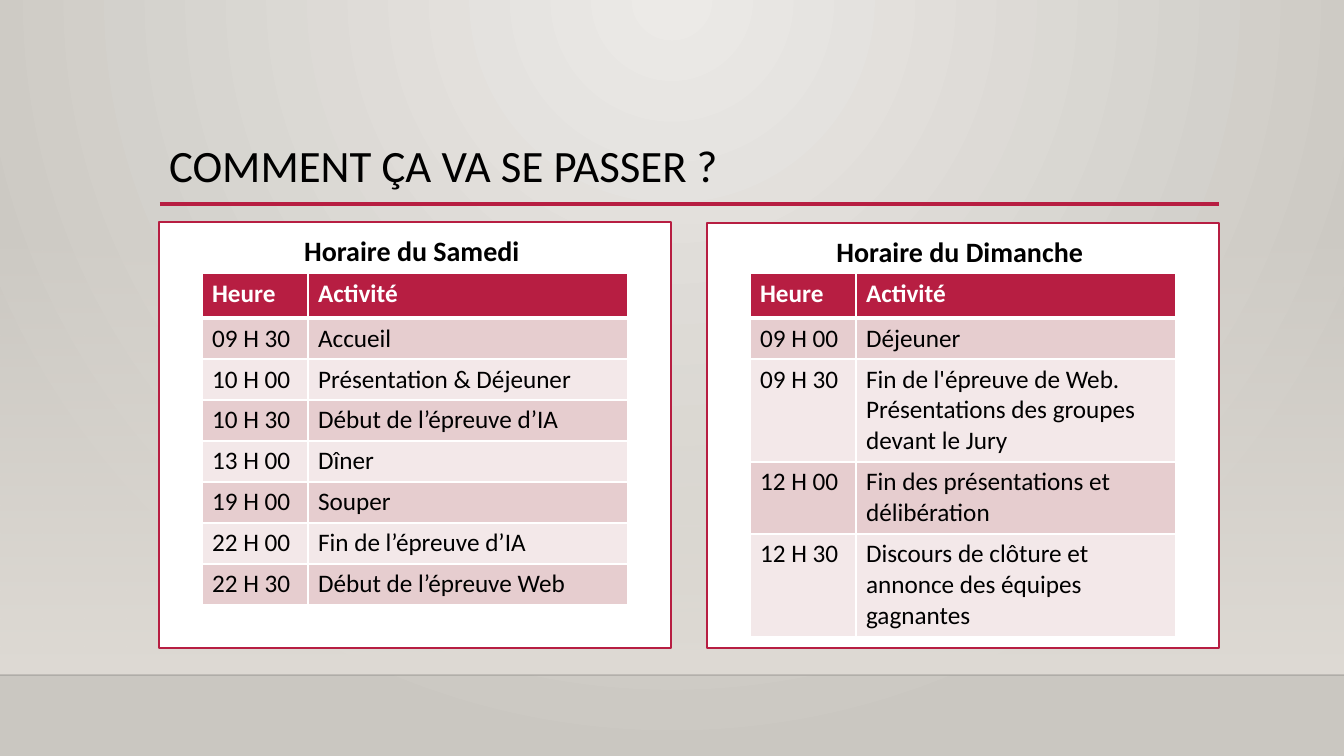
import dataclasses
import typing

import lxml.etree
import pptx
import pptx.dml.color
import pptx.enum.dml
import pptx.enum.shapes
import pptx.enum.text
import pptx.oxml
import pptx.oxml.ns
import pptx.util

SLIDE_WIDTH, SLIDE_HEIGHT = 1344, 756
SCALE = 12192000 / SLIDE_WIDTH
COLORS = {
    "halo": "ECEAE7", "backdrop": "CAC7C1", "wall": "DFDBD5", "floor": "000001",
    "accent": "B71E42", "band_dark": "E6CDCF", "band_light": "F3E8E9",
    "white": "FFFFFF", "black": "000000",
}
FONT = "Calibri"
COLUMNS = (106, 320)
HEADER = ("Heure", "Activité")
HEADER_HEIGHT, LINE_HEIGHT, CELL_PADDING = 45, 31, 10
TABLE_INSET, TABLE_TOP = 43, 273

Box = typing.Tuple[int, int, int, int]


@dataclasses.dataclass(frozen=True)
class Activity:
    hour: str
    label: str
    lines: int = 1


@dataclasses.dataclass(frozen=True)
class Day:
    heading: str
    panel: Box
    activities: typing.Tuple[Activity, ...]


@dataclasses.dataclass(frozen=True)
class Rule:
    left: int
    right: int
    y: int
    color: str
    width: float
    opacity: int = 100


RULES = (
    Rule(0, SLIDE_WIDTH, 675, "floor", 1, 20),
    Rule(160, 1219, 204, "accent", 2.5),
)
DAYS = (
    Day("Horaire du Samedi ", (159, 222, 512, 426), (
        Activity("09 H 30", "Accueil"),
        Activity("10 H 00", "Présentation & Déjeuner"),
        Activity("10 H 30", "Début de l’épreuve d’IA"),
        Activity("13 H 00", "Dîner"),
        Activity("19 H 00", "Souper"),
        Activity("22 H 00", "Fin de l’épreuve d’IA"),
        Activity("22 H 30", "Début de l’épreuve Web"),
    )),
    Day("Horaire du Dimanche ", (707, 223, 512, 425), (
        Activity("09 H 00", "Déjeuner"),
        Activity("09 H 30", "Fin de l'épreuve de Web. Présentations des groupes devant le Jury", 3),
        Activity("12 H 00", "Fin des présentations et délibération", 2),
        Activity("12 H 30", "Discours de clôture et annonce des équipes gagnantes", 3),
    )),
)


def px(length: int) -> int:
    return round(length * SCALE)


def rgb(name: str) -> pptx.dml.color.RGBColor:
    return pptx.dml.color.RGBColor.from_string(COLORS[name])


def apply(target: typing.Any, formats: typing.Dict[str, typing.Any]) -> None:
    for attribute, value in formats.items():
        setattr(target, attribute, value)


def place(shape: typing.Any, box: Box) -> None:
    apply(shape, dict(zip(("left", "top", "width", "height"), map(px, box))))


def fill_solid(fill: typing.Any, color: str) -> None:
    fill.solid()
    fill.fore_color.rgb = rgb(color)


def fill_gradient(fill: typing.Any, colors: typing.Sequence[str]) -> None:
    fill.gradient()
    for stop, color in zip(fill.gradient_stops, colors):
        stop.color.rgb = rgb(color)


def set_opacity(element: typing.Any, percent: int) -> None:
    """Fade the first colour found in the element."""
    color = element.find(".//" + pptx.oxml.ns.qn("a:srgbClr"))
    lxml.etree.SubElement(color, pptx.oxml.ns.qn("a:alpha"), val=str(percent * 1000))


def write(frame: typing.Any, text: str, size: int, color: str, bold: bool = False) -> typing.Any:
    paragraph = frame.paragraphs[0]
    run = paragraph.add_run()
    run.text = text
    apply(run.font, {"name": FONT, "size": pptx.util.Pt(size), "bold": bold})
    run.font.color.rgb = rgb(color)
    return paragraph


def draw_rule(slide: typing.Any, rule: Rule) -> None:
    line = slide.shapes.add_connector(
        pptx.enum.shapes.MSO_CONNECTOR.STRAIGHT,
        px(rule.left), px(rule.y), px(rule.right), px(rule.y))
    line.line.color.rgb = rgb(rule.color)
    line.line.width = pptx.util.Pt(rule.width)
    if rule.opacity < 100:
        set_opacity(line.element.spPr, rule.opacity)
    lxml.etree.SubElement(line.element.spPr, pptx.oxml.ns.qn("a:effectLst"))


def set_borders(cell: typing.Any, bottom: int) -> None:
    properties = cell._tc.get_or_add_tcPr()
    for index, (side, width) in enumerate({"L": 1, "R": 1, "T": 1, "B": bottom}.items()):
        properties.insert(index, pptx.oxml.parse_xml(
            f'<a:ln{side} {pptx.oxml.ns.nsdecls("a")} w="{width * 12700}"><a:solidFill>'
            f'<a:srgbClr val="{COLORS["white"]}"/></a:solidFill></a:ln{side}>'))


def draw_panel(panel: typing.Any, day: Day) -> None:
    place(panel, day.panel)
    fill_solid(panel.fill, "white")
    panel.line.color.rgb = rgb("accent")
    panel.line.width = pptx.util.Pt(1.25)
    apply(panel.text_frame, {
        "word_wrap": True,
        "auto_size": pptx.enum.text.MSO_AUTO_SIZE.NONE,
        "vertical_anchor": pptx.enum.text.MSO_ANCHOR.TOP,
    })
    heading = write(panel.text_frame, day.heading, 20, "black", True)
    apply(heading, {
        "alignment": pptx.enum.text.PP_ALIGN.CENTER,
        "line_spacing": 1.2,
        "space_before": pptx.util.Pt(10),
    })
    properties = heading._p.get_or_add_pPr()
    for attribute in ("marL", "indent"):
        properties.set(attribute, "0")
    lxml.etree.SubElement(properties, pptx.oxml.ns.qn("a:buNone"))


def draw_schedule(slide: typing.Any, day: Day) -> None:
    heights = [HEADER_HEIGHT] + [CELL_PADDING + LINE_HEIGHT * a.lines for a in day.activities]
    rows = [HEADER] + [(a.hour, a.label) for a in day.activities]
    schedule = slide.shapes.add_table(
        len(rows), len(COLUMNS), px(day.panel[0] + TABLE_INSET), px(TABLE_TOP),
        px(sum(COLUMNS)), px(sum(heights))).table
    for column, width in zip(schedule.columns, COLUMNS):
        column.width = px(width)
    for index, (texts, height) in enumerate(zip(rows, heights)):
        schedule.rows[index].height = px(height)
        is_header = index == 0
        band = "accent" if is_header else ("band_light", "band_dark")[index % 2]
        for cell, text in zip(schedule.rows[index].cells, texts):
            write(cell.text_frame, text, 18, "white" if is_header else "black", is_header)
            fill_solid(cell.fill, band)
            set_borders(cell, 3 if is_header else 1)


presentation = pptx.Presentation()
apply(presentation, {"slide_width": px(SLIDE_WIDTH), "slide_height": px(SLIDE_HEIGHT)})
slide = presentation.slides.add_slide(presentation.slide_layouts[3])
title, *panels = slide.placeholders

# Background: halo from the top centre
fill_gradient(slide.background.fill, ("halo", "backdrop"))
linear = slide.element.find(".//" + pptx.oxml.ns.qn("a:lin"))
linear.getparent().replace(linear, pptx.oxml.parse_xml(
    f'<a:path {pptx.oxml.ns.nsdecls("a")} path="circle">'
    '<a:fillToRect l="43000" t="0" r="43000" b="100000"/></a:path>'))

# Wall, floor edge and title rule
wall = slide.shapes.add_shape(pptx.enum.shapes.MSO_SHAPE.RECTANGLE, 0, 0, 0, 0)
place(wall, (0, 223, SLIDE_WIDTH, 452))
wall.shadow.inherit = False
wall.line.fill.background()
fill_gradient(wall.fill, ("wall", "wall"))
wall.fill.gradient_angle = 270
set_opacity(wall.element.spPr, 0)
for rule in RULES:
    draw_rule(slide, rule)

# Placeholders come in front of the wall
for placeholder in (title, *panels):
    slide.shapes.element.append(placeholder.element)

# Title
place(title, (159, 89, 1008, 117))
apply(title.text_frame, {
    "word_wrap": True,
    "auto_size": pptx.enum.text.MSO_AUTO_SIZE.NONE,
    "vertical_anchor": pptx.enum.text.MSO_ANCHOR.BOTTOM,
    "margin_bottom": px(14),
})
apply(write(title.text_frame, "COMMENT ÇA VA SE PASSER ?", 32, "black"),
      {"alignment": pptx.enum.text.PP_ALIGN.LEFT, "line_spacing": 0.9})

# Schedules
for panel, day in zip(panels, DAYS):
    draw_panel(panel, day)
for day in DAYS:
    draw_schedule(slide, day)

presentation.save("out.pptx")
